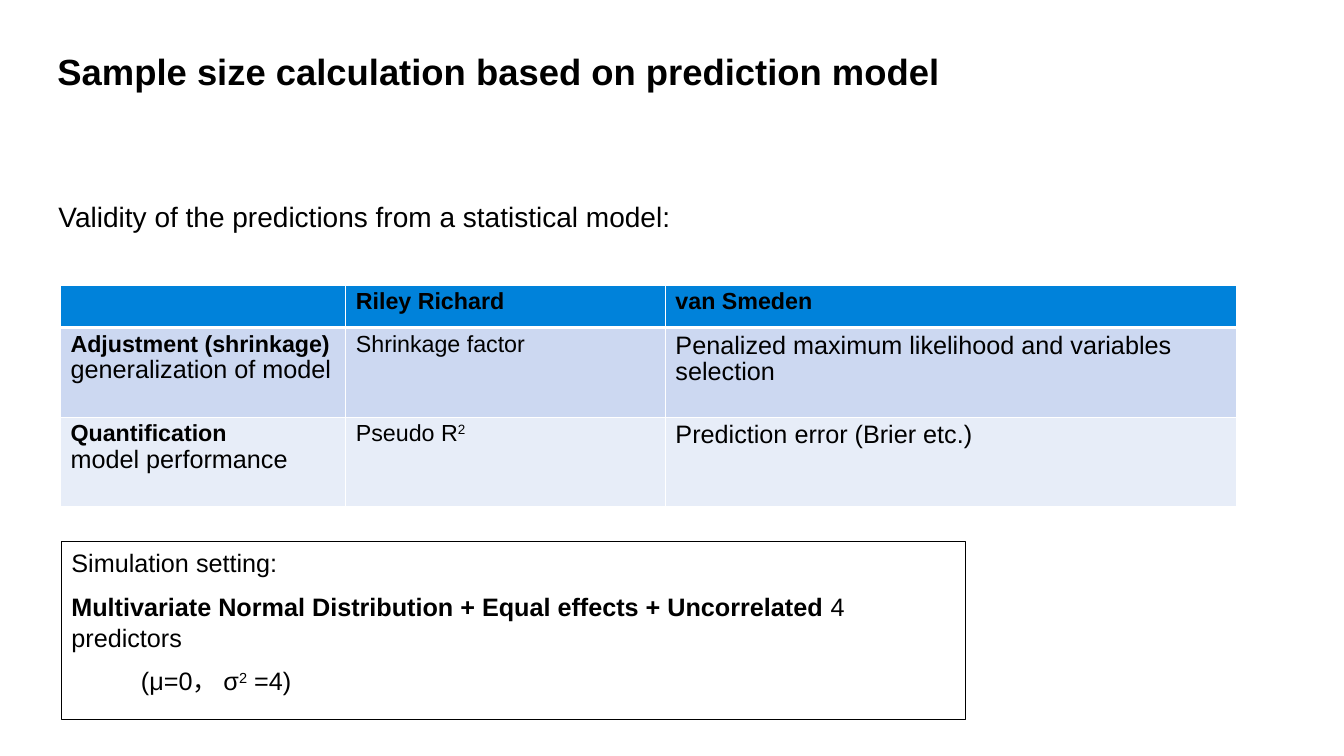
from lxml import etree
from pptx import Presentation
from pptx.dml.color import RGBColor
from pptx.enum.shapes import MSO_SHAPE as SHAPE
from pptx.enum.text import MSO_ANCHOR as ANCHOR, MSO_AUTO_SIZE as AUTO, PP_ALIGN as ALIGN
from pptx.oxml.ns import qn
from pptx.util import Inches, Pt

BLACK, WHITE = "000000", "FFFFFF"
ROW_FILLS = ["0082DA", "CCD8F1", "E7EDF8"]
COLUMNS = [2.83, 3.17, 5.67]
ROWS = [0.42, 0.89, 0.89]
SMALL, LARGE = {"size": Pt(16.6)}, {"size": Pt(18)}
HEAD = {**SMALL, "bold": True}
SUPER = {"baseline": "30000"}
CELLS = [
    [[], [[("Riley Richard", HEAD)]], [[("van Smeden", HEAD)]]],
    [[[("Adjustment (shrinkage)", HEAD)], [("generalization of model", LARGE)]],
     [[("Shrinkage factor", SMALL)]],
     [[("Penalized maximum likelihood and variables selection", LARGE)]]],
    [[[("Quantification", HEAD)], [("model performance", LARGE)]],
     [[("Pseudo R", SMALL), ("2", {**SMALL, **SUPER})]],
     [[("Prediction error (Brier etc.)", LARGE)]]],
]
SETTING = [
    [("Simulation setting:", LARGE)],
    [("Multivariate Normal Distribution + Equal effects + Uncorrelated ", {**LARGE, "bold": True}),
     ("4 predictors", LARGE)],
    [("(μ=0， σ", LARGE), ("2", {**LARGE, **SUPER}), (" =4)", LARGE)],
]


def color(value):
    """Turn a hex string into a colour."""
    return RGBColor.from_string(value)


def write(tf, paragraphs, **layout):
    """Fill a text frame with paragraphs of formatted runs."""
    for i, runs in enumerate(paragraphs):
        p = tf.paragraphs[0] if i == 0 else tf.add_paragraph()
        for name, value in {"alignment": ALIGN.LEFT, **layout}.items():
            setattr(p, name, value)
        for text, style in runs:
            r = p.add_run()
            r.text = text
            r.font.color.rgb = color(BLACK)
            for name, value in {"name": "Arial", "bold": False, **style}.items():
                if name == "baseline":
                    r.font._element.set(name, value)
                else:
                    setattr(r.font, name, value)


def set_frame(tf, margin=0):
    """Give a text frame fixed size, top anchor and one margin all round."""
    frame = {"word_wrap": True, "auto_size": AUTO.NONE, "vertical_anchor": ANCHOR.TOP}
    for side in ("left", "top", "right", "bottom"):
        frame[f"margin_{side}"] = Inches(margin)
    for name, value in frame.items():
        setattr(tf, name, value)


def add_title(s, left, top, width, height):
    """Place the slide title."""
    sp = s.shapes.title
    box = {"left": left, "top": top, "width": width, "height": height}
    for name, value in box.items():
        setattr(sp, name, Inches(value))
    set_frame(sp.text_frame)
    write(sp.text_frame, [[("Sample size calculation based on prediction model",
                            {"size": Pt(26), "bold": True})]])


def add_lead(s, left, top, width, height):
    """Place the sentence that introduces the table."""
    sp = s.shapes.add_textbox(*map(Inches, (left, top, width, height)))
    set_frame(sp.text_frame)
    write(sp.text_frame, [[("Validity of the predictions from a statistical model:",
                            {"size": Pt(20)})]])


def set_borders(cell, widths):
    """Draw white cell borders of the given widths in points."""
    tcPr = cell._tc.get_or_add_tcPr()
    for i, (side, width) in enumerate(widths.items()):
        ln = etree.Element(qn(f"a:ln{side}"), w=str(Pt(width)))
        fill = etree.SubElement(ln, qn("a:solidFill"))
        etree.SubElement(fill, qn("a:srgbClr"), val=WHITE)
        tcPr.insert(i, ln)


def add_comparison(s, left, top):
    """Place the table that compares the two approaches."""
    box = map(Inches, (left, top, sum(COLUMNS), sum(ROWS)))
    table = s.shapes.add_table(len(ROWS), len(COLUMNS), *box).table
    for column, width in zip(table.columns, COLUMNS):
        column.width = Inches(width)
    for i, (row, height) in enumerate(zip(table.rows, ROWS)):
        row.height = Inches(height)
        for cell, paragraphs in zip(row.cells, CELLS[i]):
            cell.fill.solid()
            cell.fill.fore_color.rgb = color(ROW_FILLS[i])
            set_borders(cell, {"L": 1, "R": 1, "T": 3 if i == 1 else 1, "B": 3 if i == 0 else 1})
            write(cell.text_frame, paragraphs, line_spacing=0.95)


def add_setting(s, left, top, width, height):
    """Place the outlined box with the simulation setting."""
    sp = s.shapes.add_shape(SHAPE.RECTANGLE, *map(Inches, (left, top, width, height)))
    sp.shadow.inherit = False
    sp.fill.background()
    sp.line.color.rgb = color(BLACK)
    sp.line.width = Pt(0.75)
    tf = sp.text_frame
    set_frame(tf)
    tf.margin_left = tf.margin_right = Inches(0.1)
    tf.margin_top = tf.margin_bottom = Inches(0.05)
    write(tf, SETTING, line_spacing=1.03)
    for p in tf.paragraphs[1:]:
        p.space_before = Pt(9)
    tf.paragraphs[-1]._p.get_or_add_pPr().set("marL", str(Inches(0.69)))


def main():
    """Build and save the slide."""
    prs = Presentation()
    prs.slide_width, prs.slide_height = Inches(13.33), Inches(7.5)
    s = prs.slides.add_slide(prs.slide_layouts[5])
    add_title(s, 0.57, 0.49, 10.74, 1.43)
    add_lead(s, 0.58, 1.98, 12.18, 0.61)
    add_comparison(s, 0.6, 2.83)
    add_setting(s, 0.61, 5.37, 8.97, 1.77)
    prs.save("out.pptx")


if __name__ == "__main__":
    main()
